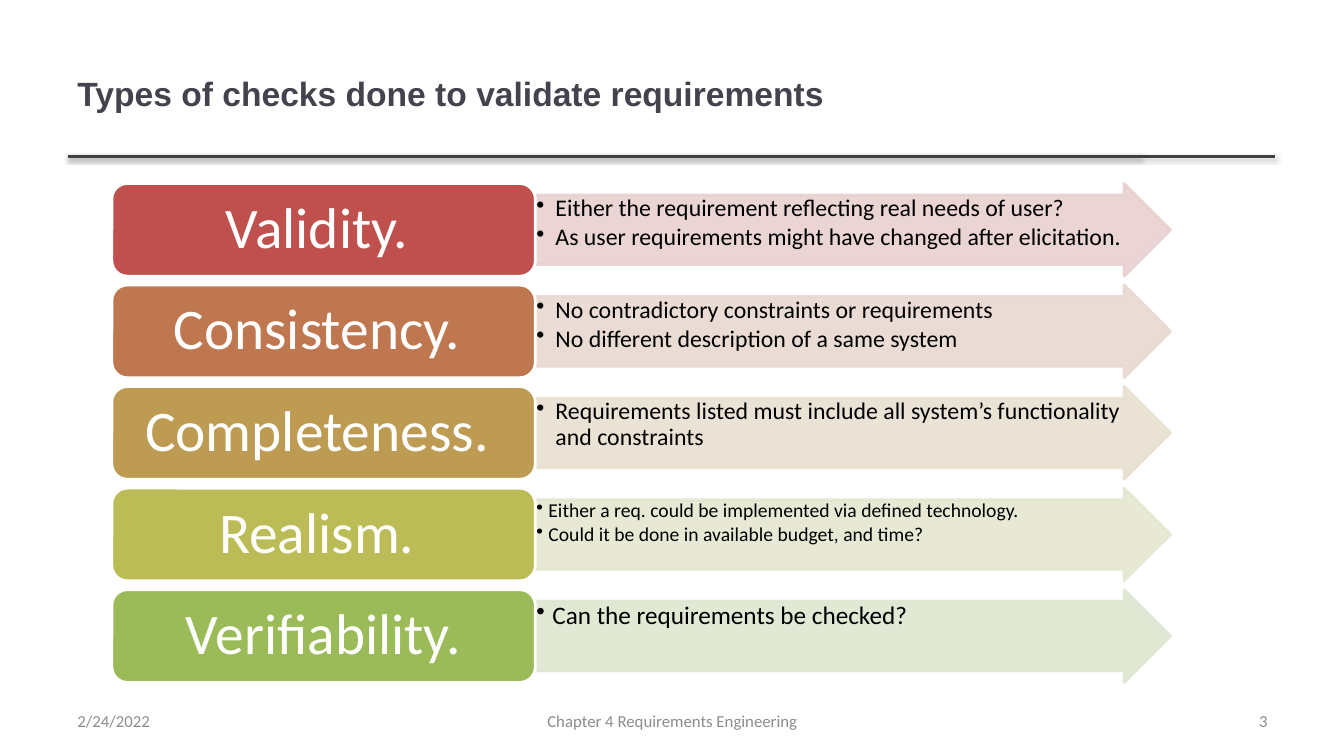
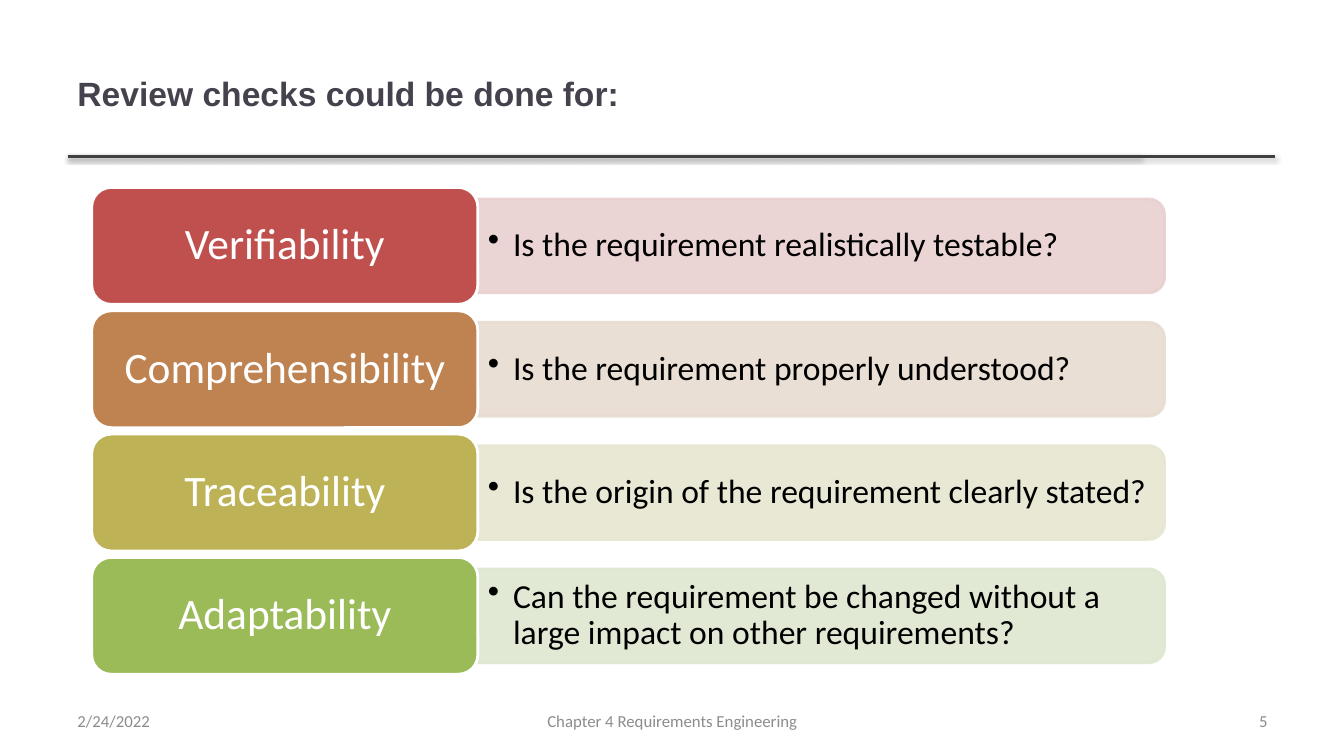
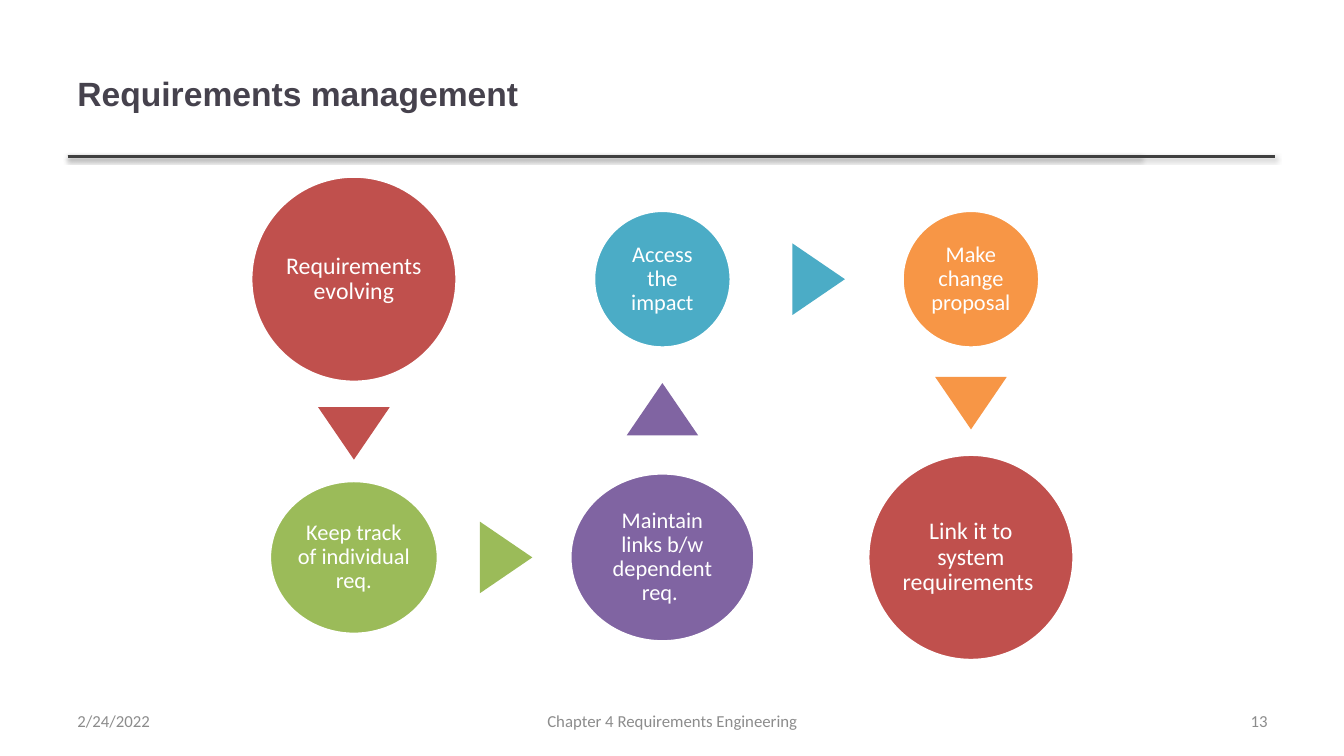
from lxml.etree import SubElement
from pptx import Presentation
from pptx.dml.color import RGBColor
from pptx.enum.shapes import MSO_CONNECTOR as Connector, MSO_SHAPE as Preset
from pptx.enum.text import MSO_ANCHOR as Anchor, PP_ALIGN as Align
from pptx.oxml.ns import qn
from pptx.util import Inches, Pt

RED, GREEN, PURPLE, TEAL, ORANGE = "C0504D", "9BBB59", "8064A2", "4BACC6", "F79646"
WHITE, BLACK, RULE = "FFFFFF", "000000", "404040"
CENTRED = {"alignment": Align.CENTER, "line_spacing": 0.9}


def color(value):
    return RGBColor.from_string(value)


def spread(first, last, items):
    step = (last - first) / (len(items) - 1)
    return [(first + index * step, *item) for index, item in enumerate(items)]


def assign(target, values):
    for name, value in values.items():
        setattr(target, name, value)


class Deck:
    title_font = {"name": "Arial", "size": Pt(24), "bold": True}
    footer_font = {"name": "Calibri", "size": Pt(12)}
    title_color, footer_color = "46424D", "8C8C8C"
    date, chapter = "2/24/2022", "Chapter 4 Requirements Engineering"

    def __init__(self):
        self.presentation = Presentation()
        self.presentation.slide_width = Inches(13.33)
        self.presentation.slide_height = Inches(7.5)
        self.slide = None

    def start(self, title, number):
        self.slide = self.presentation.slides.add_slide(self.presentation.slide_layouts[6])
        for end in (11.32, 12.65):
            self.rule(0.67, end, 1.55)
        self.text_box((0.67, 0.3, 10.63, 1.25), [title], self.title_font, self.title_color)
        for left, width, text, alignment in (
            (0.67, 3.11, self.date, Align.LEFT),
            (4.56, 4.22, self.chapter, Align.CENTER),
            (9.56, 3.11, str(number), Align.RIGHT),
        ):
            self.text_box((left, 6.95, width, 0.4), [text], self.footer_font,
                          self.footer_color, {"alignment": alignment})

    def rule(self, start, end, top):
        line = self.slide.shapes.add_connector(
            Connector.STRAIGHT, Inches(start), Inches(top), Inches(end), Inches(top))
        line.line.color.rgb = color(RULE)
        line.line.width = Pt(2)
        effects = SubElement(line._element.spPr, qn("a:effectLst"))
        shadow = SubElement(effects, qn("a:outerShdw"), blurRad=str(Pt(3.1)),
                            dist=str(Pt(1.6)), dir="5400000", rotWithShape="0")
        shade = SubElement(shadow, qn("a:srgbClr"), val=BLACK)
        SubElement(shade, qn("a:alpha"), val="38000")

    def shape(self, preset, box, fill, outline=None, opacity=None, rotation=0):
        shape = self.slide.shapes.add_shape(preset, *map(Inches, box))
        shape.shadow.inherit = False
        shape.rotation = rotation
        shape.fill.solid()
        shape.fill.fore_color.rgb = color(fill)
        if outline:
            shape.line.color.rgb = color(outline)
            shape.line.width = Pt(2)
        else:
            shape.line.fill.background()
        if opacity:
            for shade in shape._element.spPr.iter(qn("a:srgbClr")):
                SubElement(shade, qn("a:alpha"), val=str(opacity * 1000))
        return shape

    def text_box(self, box, lines, font, ink, layout=None):
        shape = self.slide.shapes.add_textbox(*map(Inches, box))
        self.set_text(shape, lines, font, ink, layout or {})

    def set_text(self, shape, lines, font, ink, layout, insets=(0.1, 0.05),
                 anchor=Anchor.MIDDLE, bullet=None):
        frame = shape.text_frame
        across, down = map(Inches, insets)
        assign(frame, {"word_wrap": True, "vertical_anchor": anchor,
                       "margin_left": across, "margin_right": across,
                       "margin_top": down, "margin_bottom": down})
        for index, line in enumerate(lines):
            paragraph = frame.paragraphs[0] if index == 0 else frame.add_paragraph()
            assign(paragraph, layout)
            if bullet:
                properties = paragraph._p.get_or_add_pPr()
                properties.set("marL", str(Inches(bullet)))
                properties.set("indent", str(-Inches(bullet)))
                SubElement(properties, qn("a:buChar"), char="•")
            run = paragraph.add_run()
            run.text = line
            assign(run.font, font)
            run.font.color.rgb = color(ink)

    def label(self, preset, box, text, size, fill, insets):
        shape = self.shape(preset, box, fill, WHITE)
        self.set_text(shape, [text], {"name": "Calibri", "size": Pt(size)}, WHITE,
                      CENTRED, insets=insets)

    def bullets(self, lines, size, indent, shape=None, box=None, **options):
        layout = {"alignment": Align.LEFT, "line_spacing": 0.9, "space_after": Pt(0.15 * size)}
        target = shape or self.slide.shapes.add_textbox(*map(Inches, box))
        self.set_text(target, lines, {"name": "Calibri", "size": Pt(size)}, BLACK,
                      layout, bullet=indent, **options)

    def arrow_row(self, top, name, fill, tint, size, indent, lines):
        arrow = self.shape(Preset.RIGHT_ARROW, (5.31, top, 6.3, 0.92), tint, tint, 90)
        arrow.adjustments[0] = 0.75
        self.bullets(lines, size, indent, shape=arrow, insets=(0.01, 0.01), anchor=Anchor.TOP)
        self.label(Preset.ROUNDED_RECTANGLE, (1.11, top, 4.2, 0.92), name, 41, fill, (0.17, 0.09))

    def band_row(self, top, name, fill, tint, question):
        width, height = 0.93, 6.81
        middle = top + 0.58
        self.shape(Preset.ROUND_2_SAME_RECTANGLE, (7.68, middle - height / 2, width, height),
                   tint, tint, 90, rotation=90)
        self.bullets([question], 24, 0.25, box=(4.74, middle - 0.42, 6.76, 0.84))
        self.label(Preset.ROUNDED_RECTANGLE, (0.91, top, 3.83, 1.16), name, 31, fill, (0.13, 0.06))

    def circle(self, x, y, width, height, text, size, fill):
        box = (x - width / 2, y - height / 2, width, height)
        self.label(Preset.OVAL, box, text, size, fill, (0.02, 0.02))

    def pointer(self, x, y, rotation, fill):
        width, height = 0.71, 0.52
        self.shape(Preset.ISOSCELES_TRIANGLE, (x - width / 2, y - height / 2, width, height),
                   fill, rotation=rotation)


CHECKS = [
    ("Validity. ", RED, "E8D0D0", 17, 0.19,
     ["Either the requirement reflecting real needs of user?",
      "As user requirements might have changed after elicitation."]),
    ("Consistency. ", "BF7750", "E8D9D0", 17, 0.19,
     ["No contradictory constraints or requirements",
      "No different description of a same system"]),
    ("Completeness. ", "BD9B53", "E8E1D1", 17, 0.19,
     ["Requirements listed must include all system’s functionality and constraints"]),
    ("Realism. ", "BCBC56", "E6E7D1", 14, 0.12,
     ["Either a req. could be implemented via defined technology.",
      "Could it be done in available budget, and time?"]),
    ("Verifiability.", GREEN, "DEE7D1", 18, 0.16,
     ["Can the requirements be checked?"]),
]

REVIEWS = [
    ("Verifiability", RED, "E8D0D0", "Is the requirement realistically testable?"),
    ("Comprehensibility", "BE8351", "E8DCD0", "Is the requirement properly understood?"),
    ("Traceability", "BDB255", "E7E6D1", "Is the origin of the requirement clearly stated?"),
    ("Adaptability", GREEN, "DEE7D1",
     "Can the requirement be changed without a large impact on other requirements?"),
]

LEFT, CENTER, RIGHT = 3.51, 6.57, 9.63
UPPER, LOWER = 2.77, 5.53
STEPS = [
    (LEFT, UPPER, 2.04, 2.04, "Requirements evolving", 17, RED),
    (LEFT, LOWER, 1.67, 1.52, "Keep track of individual req.", 16, GREEN),
    (CENTER, LOWER, 1.83, 1.67, "Maintain links b/w dependent req. ", 16, PURPLE),
    (CENTER, UPPER, 1.36, 1.36, "Access the impact", 16, TEAL),
    (RIGHT, UPPER, 1.36, 1.36, "Make change proposal", 16, ORANGE),
    (RIGHT, LOWER, 2.04, 2.04, "Link it to system requirements ", 17, RED),
]
POINTERS = [
    (LEFT, 4.3, 180, RED),
    (5.02, LOWER, 90, GREEN),
    (CENTER, 4.06, 0, PURPLE),
    (8.12, UPPER, 90, TEAL),
    (RIGHT, 4, 180, ORANGE),
]


def main():
    deck = Deck()
    deck.start("Types of checks done to validate requirements", 3)
    for row in spread(1.82, 5.85, CHECKS):
        deck.arrow_row(*row)
    deck.start("Review checks could be done for:", 5)
    for row in spread(1.86, 5.53, REVIEWS):
        deck.band_row(*row)
    deck.start("Requirements management", 13)
    for step in STEPS:
        deck.circle(*step)
    for pointer in POINTERS:
        deck.pointer(*pointer)
    deck.presentation.save("out.pptx")


if __name__ == "__main__":
    main()
